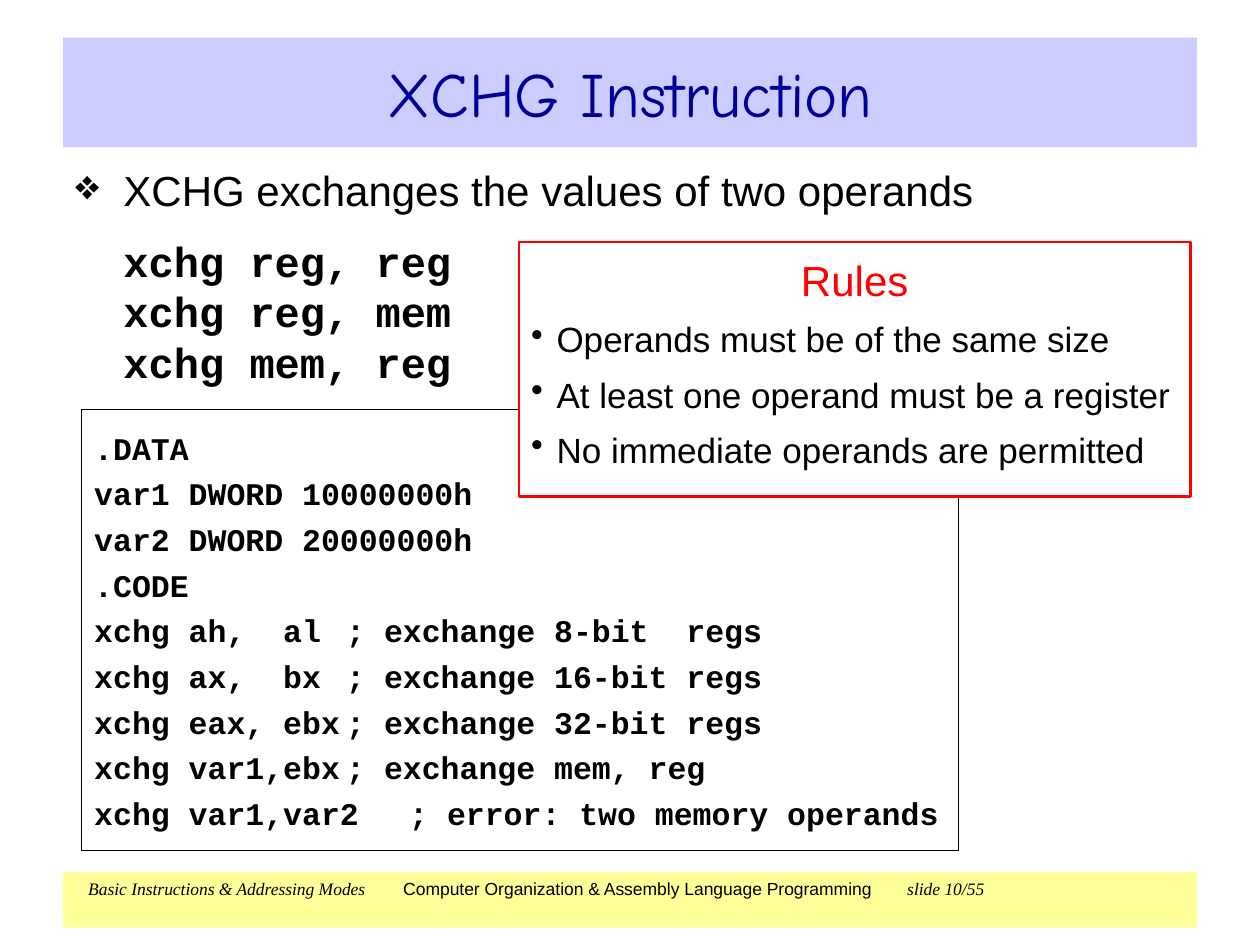
import pptx
import pptx.util
import pptx.dml.color
import pptx.enum.shapes
import pptx.enum.text
import pptx.oxml.ns
from lxml import etree

Cm, Pt = pptx.util.Cm, pptx.util.Pt
RGB = pptx.dml.color.RGBColor
ALIGN = pptx.enum.text.PP_ALIGN
ANCHOR = pptx.enum.text.MSO_ANCHOR

BLACK, WHITE, RED = RGB(0, 0, 0), RGB(255, 255, 255), RGB(255, 0, 0)
NAVY, LAVENDER, YELLOW = RGB(0, 0, 0x99), RGB(0xCC, 0xCC, 0xFF), RGB(255, 255, 0x99)
SANS, SERIF, MONO, HAND = "Arial", "Times New Roman", "Courier New", "Comic Neue"

TITLE = "XCHG Instruction"
INTRO = "XCHG exchanges the values of two operands"
FORMS = ["xchg reg, reg", "xchg reg, mem", "xchg mem, reg"]
RULES_HEADING = "Rules"
RULES = [
    "Operands must be of the same size",
    "At least one operand must be a register",
    "No immediate operands are permitted",
]
PROGRAM = [
    ".DATA",
    "var1 DWORD 10000000h",
    "var2 DWORD 20000000h",
    ".CODE",
    "xchg ah,  al\t; exchange 8-bit  regs",
    "xchg ax,  bx\t; exchange 16-bit regs",
    "xchg eax, ebx\t; exchange 32-bit regs",
    "xchg var1,ebx\t; exchange mem, reg",
    "xchg var1,var2\t; error: two memory operands",
]
FOOTER = [
    ("Basic Instructions & Addressing Modes", SERIF, True),
    ("\tComputer Organization & Assembly Language Programming", SANS, False),
    ("\tslide 10/55", SERIF, True),
]

LEFT, WIDTH = Cm(1.27), Cm(22.86)
TITLE_BOX = LEFT, Cm(0.76), WIDTH, Cm(2.21)
INTRO_BOX = LEFT, Cm(3.18), WIDTH, Cm(5.87)
PROGRAM_BOX = Cm(1.65), Cm(8.26), Cm(17.68), Cm(8.89)
RULES_BOX = Cm(10.46), Cm(4.88), Cm(13.54), Cm(5.13)
FOOTER_BOX = LEFT, Cm(17.58), WIDTH, Cm(1.12)
INTRO_INDENT, RULES_INDENT = Cm(0.97), Cm(0.51)
COMMENT_TAB = [(Cm(6.48), "l")]
FOOTER_TABS = [(Cm(13.46), "ctr"), (Cm(21.84), "r")]


def set_frame(frame, left, top, bottom, anchor=ANCHOR.TOP):
    """Set wrapping, insets and anchor of a text frame."""
    frame.word_wrap = True
    frame.auto_size = pptx.enum.text.MSO_AUTO_SIZE.NONE
    frame.margin_left, frame.margin_right = left, Cm(0.25)
    frame.margin_top, frame.margin_bottom = top, bottom
    frame.vertical_anchor = anchor


def add_panel(slide, box, fill=None, line=None, line_width=0.75):
    """Add a rectangle without shadow; no colour means no fill or no line."""
    panel = slide.shapes.add_shape(pptx.enum.shapes.MSO_SHAPE.RECTANGLE, *box)
    panel.shadow.inherit = False
    if fill is None:
        panel.fill.background()
    else:
        panel.fill.solid()
        panel.fill.fore_color.rgb = fill
    if line is None:
        panel.line.fill.background()
    else:
        panel.line.color.rgb = line
        panel.line.width = Pt(line_width)
    return panel


def add_run(paragraph, text, font, size, color=BLACK, bold=False, italic=False):
    """Append one formatted run."""
    run = paragraph.add_run()
    run.text = text
    run.font.name, run.font.size = font, Pt(size)
    run.font.bold, run.font.italic = bold, italic
    run.font.color.rgb = color


def add_paragraph(frame, before=0, align=ALIGN.LEFT, indent=0, bullet=None, tabs=()):
    """Return a new paragraph, using the empty first one when it is free."""
    paragraph = frame.paragraphs[0]
    if paragraph.runs:
        paragraph = frame.add_paragraph()
    paragraph.alignment, paragraph.space_before = align, Pt(before)
    qn = pptx.oxml.ns.qn
    props = paragraph._p.get_or_add_pPr()
    props.set("marL", str(indent))
    props.set("indent", str(-indent if bullet else 0))
    if bullet:
        bullet_color = etree.SubElement(props, qn("a:buClr"))
        etree.SubElement(bullet_color, qn("a:srgbClr"), val=str(BLACK))
        etree.SubElement(props, qn("a:buChar"), char=bullet)
    else:
        etree.SubElement(props, qn("a:buNone"))
    if tabs:
        stops = etree.SubElement(props, qn("a:tabLst"))
        for position, kind in tabs:
            etree.SubElement(stops, qn("a:tab"), pos=str(position), algn=kind)
    return paragraph


def add_title(slide):
    """Place and format the title placeholder."""
    title = slide.shapes.title
    title.left, title.top, title.width, title.height = TITLE_BOX
    title.fill.solid()
    title.fill.fore_color.rgb = LAVENDER
    set_frame(title.text_frame, Cm(0.25), Cm(0.13), Cm(0.13), ANCHOR.MIDDLE)
    add_run(add_paragraph(title.text_frame, align=ALIGN.CENTER), TITLE, HAND, 36, NAVY)


def add_intro(slide):
    """Add the opening statement and the three instruction forms."""
    frame = slide.shapes.add_textbox(*INTRO_BOX).text_frame
    set_frame(frame, Cm(0.25), Cm(0.13), Cm(0.13))
    statement = add_paragraph(frame, 12, indent=INTRO_INDENT, bullet="\u2756")
    add_run(statement, INTRO, SANS, 24)
    for number, form in enumerate(FORMS):
        before = 0 if number else 12
        add_run(add_paragraph(frame, before, indent=INTRO_INDENT), form, MONO, 24, bold=True)


def add_program(slide):
    """Add the framed program listing."""
    frame = add_panel(slide, PROGRAM_BOX, line=BLACK).text_frame
    set_frame(frame, Cm(0.25), Cm(0.38), 0)
    for code in PROGRAM:
        add_run(add_paragraph(frame, 4.5, tabs=COMMENT_TAB), code, MONO, 18, bold=True)


def add_rules(slide):
    """Add the red box of rules."""
    frame = add_panel(slide, RULES_BOX, WHITE, RED, 1.5).text_frame
    set_frame(frame, Cm(0.25), Cm(0.25), 0)
    add_run(add_paragraph(frame, 9, ALIGN.CENTER), RULES_HEADING, SANS, 24, RED)
    for rule in RULES:
        paragraph = add_paragraph(frame, 7.5, indent=RULES_INDENT, bullet="\u2022")
        add_run(paragraph, rule, SANS, 20)


def add_footer(slide):
    """Add the footer band with left, centred and right text."""
    frame = add_panel(slide, FOOTER_BOX, YELLOW).text_frame
    set_frame(frame, Cm(0.51), Cm(0.13), Cm(0.13))
    paragraph = add_paragraph(frame, tabs=FOOTER_TABS)
    for text, font, italic in FOOTER:
        add_run(paragraph, text, font, 10, italic=italic)


deck = pptx.Presentation()
deck.slide_width, deck.slide_height = Cm(25.4), Cm(19.05)
slide = deck.slides.add_slide(deck.slide_layouts[5])
for add_part in (add_footer, add_intro, add_title, add_program, add_rules):
    add_part(slide)
deck.save("out.pptx")
